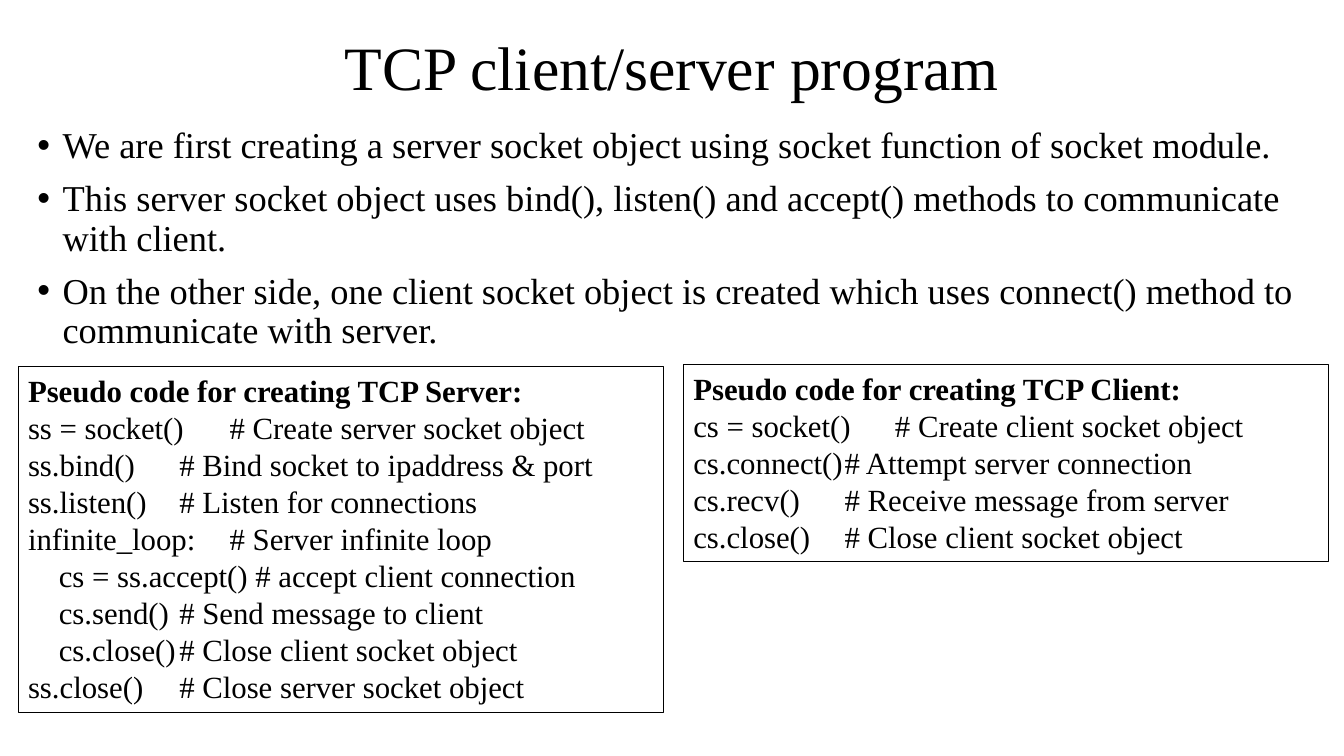
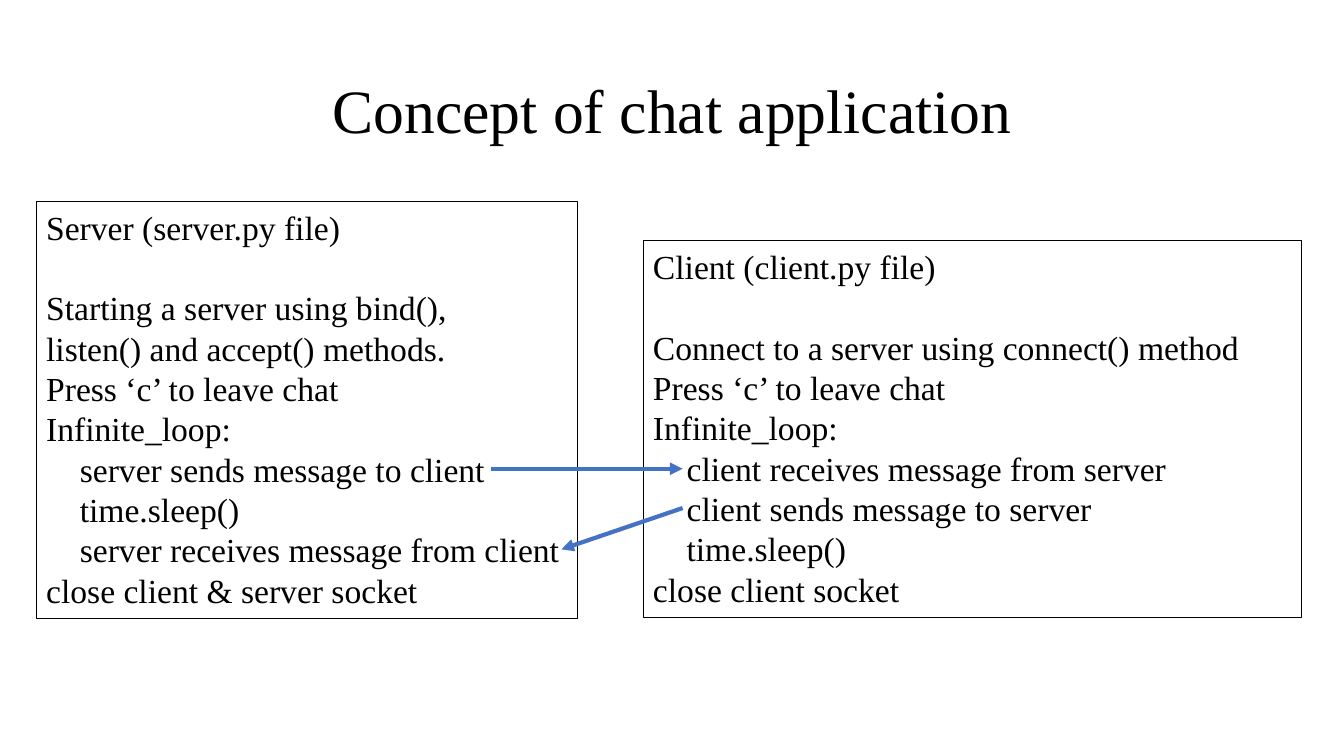
from collections import namedtuple

from lxml import etree
from pptx import Presentation
from pptx.dml.color import RGBColor
from pptx.enum.shapes import MSO_CONNECTOR, MSO_SHAPE
from pptx.enum.text import MSO_ANCHOR, MSO_AUTO_SIZE, PP_ALIGN
from pptx.oxml.ns import qn
from pptx.util import Inches, Pt

BLACK = RGBColor(0x00, 0x00, 0x00)
BLUE = RGBColor(0x44, 0x72, 0xC4)
FONT = "Times New Roman"
LEFT, CENTER = PP_ALIGN.LEFT, PP_ALIGN.CENTER
TOP, MIDDLE = MSO_ANCHOR.TOP, MSO_ANCHOR.MIDDLE
KEEP_SIZE, GROW = MSO_AUTO_SIZE.NONE, MSO_AUTO_SIZE.SHAPE_TO_FIT_TEXT
RECTANGLE, STRAIGHT = MSO_SHAPE.RECTANGLE, MSO_CONNECTOR.STRAIGHT
TITLE_ONLY, TITLE_AND_BODY = 5, 1

SLIDE_WIDTH, SLIDE_HEIGHT = Inches(13.33), Inches(7.5)
LINE_HEIGHT = 1.2  # share of the font size
INSET = Inches(0.05)
CHAT_SIZE = 24
INDENT = "    "

Box = namedtuple("Box", "left top width height")


def area(left, top, width, height):
    """Turn percentages of the slide into a box."""
    return Box(int(SLIDE_WIDTH * left / 100), int(SLIDE_HEIGHT * top / 100),
               int(SLIDE_WIDTH * width / 100), int(SLIDE_HEIGHT * height / 100))


def write(paragraph, text, size, bold=False, align=LEFT, spacing=None,
          before=0, after=0, margin=0, first=0, tab=None):
    """Fill a paragraph with one run; margin, first and tab are in inches."""
    run = paragraph.add_run()
    run.text = text
    run.font.name, run.font.size, run.font.bold = FONT, Pt(size), bold
    run.font.color.rgb = BLACK
    paragraph.alignment = align
    paragraph.space_before, paragraph.space_after = Pt(before), Pt(after)
    if spacing:
        paragraph.line_spacing = spacing
    properties = paragraph._p.get_or_add_pPr()
    properties.set("marL", str(Inches(margin)))
    properties.set("indent", str(Inches(first)))
    if tab:
        stops = etree.SubElement(properties, qn("a:tabLst"))
        etree.SubElement(stops, qn("a:tab"), pos=str(Inches(tab)), algn="l")


def paragraphs(frame, count):
    """Yield the first paragraph of a frame, then new ones."""
    yield frame.paragraphs[0]
    for _ in range(count - 1):
        yield frame.add_paragraph()


def place(shape, box, anchor, fit):
    """Move a shape to its box and return its prepared text frame."""
    shape.left, shape.top, shape.width, shape.height = box
    frame = shape.text_frame
    frame.word_wrap, frame.auto_size = True, fit
    frame.vertical_anchor = anchor
    return frame


def add_title(slide, box, text):
    """Centre the title in its box."""
    frame = place(slide.shapes.title, box, MIDDLE, KEEP_SIZE)
    write(frame.paragraphs[0], text, 44, align=CENTER, spacing=0.9)


def add_bullets(slide, box, points):
    """Put a bulleted list in the body placeholder."""
    frame = place(slide.placeholders[1], box, TOP, KEEP_SIZE)
    for paragraph, point in zip(paragraphs(frame, len(points)), points):
        write(paragraph, point, 26, spacing=0.9, before=10, margin=0.25, first=-0.25)


def add_panel(slide, box, heading, lines, size, bold=False, gap=0, tab=None):
    """Draw an outlined panel with a heading, then lines of pseudo code."""
    panel = slide.shapes.add_shape(RECTANGLE, *box)
    panel.shadow.inherit = False
    panel.fill.background()
    panel.line.color.rgb, panel.line.width = BLACK, Pt(0.75)
    frame = place(panel, box, TOP, GROW)
    first, *rest = paragraphs(frame, len(lines) + 1)
    write(first, heading, size, bold=bold, after=gap)
    for paragraph, line in zip(rest, lines):
        code = line.removeprefix(INDENT)
        write(paragraph, code, size, first=size / 72 if code != line else 0, tab=tab)


def row_point(box, share, row):
    """Give the point at a share of a chat panel's width, midway down a text row."""
    return (int(box.left + box.width * share),
            int(box.top + INSET + (row + 0.5) * Pt(CHAT_SIZE) * LINE_HEIGHT))


def add_arrow(slide, start, end):
    """Draw a blue arrow between two points."""
    arrow = slide.shapes.add_connector(STRAIGHT, *start, *end)
    arrow.line.color.rgb, arrow.line.width = BLUE, Pt(3)
    etree.SubElement(arrow.line._get_or_add_ln(), qn("a:tailEnd"), type="triangle")
    etree.SubElement(arrow._element.spPr, qn("a:effectLst"))


def new_slide(deck, layout):
    """Add a slide of the given layout."""
    return deck.slides.add_slide(deck.slide_layouts[layout])


def program_slide(deck):
    """Build the TCP slide: bullets above two panels of pseudo code."""
    slide = new_slide(deck, TITLE_AND_BODY)
    add_title(slide, area(6.9, 2.4, 86.25, 13.73), "TCP client/server program")
    add_bullets(slide, area(2.03, 16.13, 97.97, 74), [
        "We are first creating a server socket object using socket function of socket module.",
        "This server socket object uses bind(), listen() and accept() methods to "
        "communicate with client.",
        "On the other side, one client socket object is created which uses connect() "
        "method to communicate with server.",
    ])
    code_style = {"size": 22, "bold": True, "tab": 2}
    add_panel(slide, area(1.35, 48.53, 48, 45.73), "Pseudo code for creating TCP Server:", [
        "ss = socket()\t# Create server socket object",
        "ss.bind()\t# Bind socket to ipaddress & port",
        "ss.listen()\t# Listen for connections",
        "infinite_loop:\t# Server infinite loop",
        INDENT + "cs = ss.accept() # accept client connection",
        INDENT + "cs.send()\t# Send message to client",
        INDENT + "cs.close()\t# Close client socket object",
        "ss.close()\t# Close server socket object",
    ], **code_style)
    add_panel(slide, area(50.85, 48.27, 48, 26), "Pseudo code for creating TCP Client:", [
        "cs = socket()\t# Create client socket object",
        "cs.connect()\t# Attempt server connection",
        "cs.recv()\t# Receive message from server",
        "cs.close()\t# Close client socket object",
    ], **code_style)


def chat_slide(deck):
    """Build the chat slide: two panels with arrows for the messages."""
    slide = new_slide(deck, TITLE_ONLY)
    add_title(slide, area(6.9, 5.33, 86.25, 19.33), "Concept of chat application")
    server = area(2.7, 26.67, 40.28, 55.2)
    client = area(47.85, 31.87, 48.98, 49.87)
    chat_style = {"size": CHAT_SIZE, "gap": CHAT_SIZE * LINE_HEIGHT}
    add_panel(slide, server, "Server (server.py file)", [
        "Starting a server using bind(),",
        "listen() and accept() methods.",
        "Press ‘c’ to leave chat",
        "Infinite_loop:",
        INDENT + "server sends message to client",
        INDENT + "time.sleep()",
        INDENT + "server receives message from client",
        "close client & server socket",
    ], **chat_style)
    add_panel(slide, client, "Client (client.py file)", [
        "Connect to a server using connect() method",
        "Press ‘c’ to leave chat",
        "Infinite_loop:",
        INDENT + "client receives message from server",
        INDENT + "client sends message to server",
        INDENT + "time.sleep()",
        "close client socket",
    ], **chat_style)
    server_sends = row_point(server, 0.84, 6)
    server_receives = row_point(server, 0.97, 8)
    client_sends = row_point(client, 0.06, 6)
    client_receives = (client_sends[0], server_sends[1])
    add_arrow(slide, server_sends, client_receives)
    add_arrow(slide, client_sends, server_receives)


def main():
    """Build both slides and save the deck."""
    deck = Presentation()
    deck.slide_width, deck.slide_height = SLIDE_WIDTH, SLIDE_HEIGHT
    program_slide(deck)
    chat_slide(deck)
    deck.save("out.pptx")


main()
